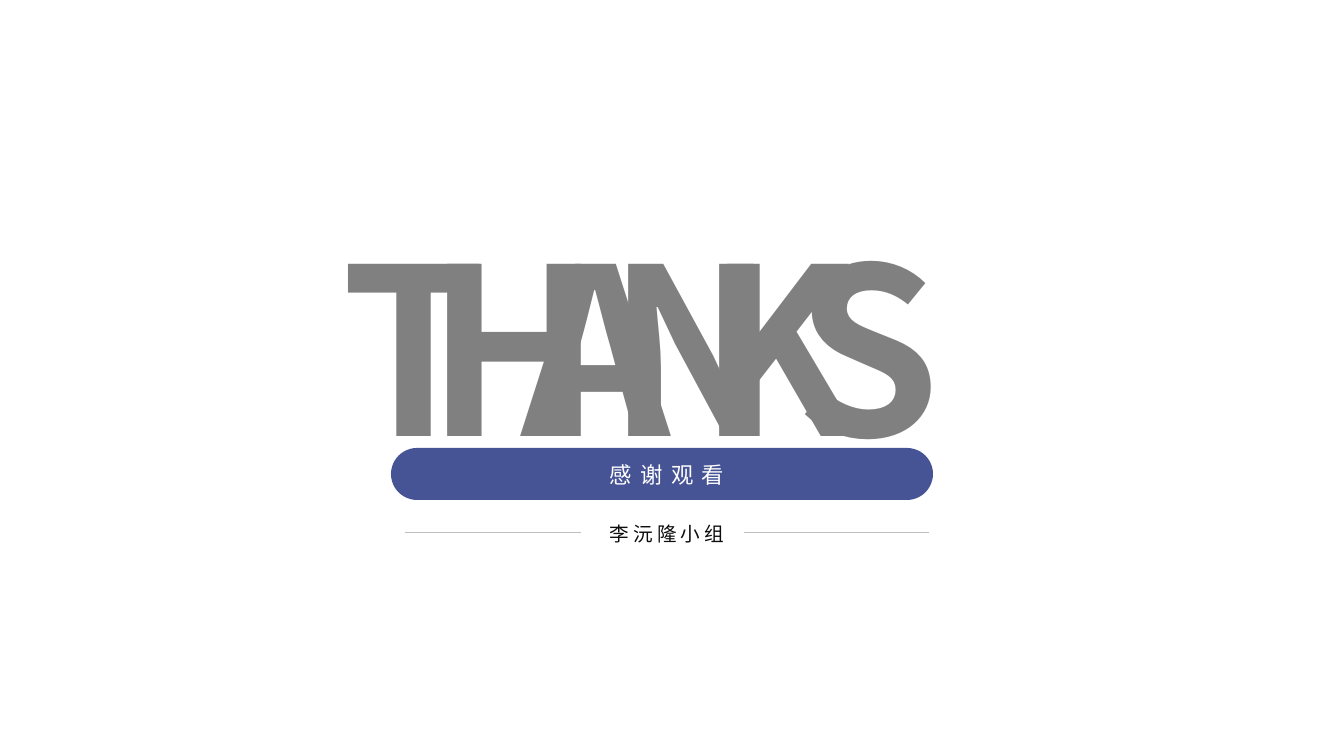
from lxml import etree
from pptx import Presentation
from pptx.dml.color import RGBColor
from pptx.enum.shapes import MSO_CONNECTOR, MSO_SHAPE
from pptx.enum.text import MSO_ANCHOR, MSO_AUTO_SIZE, PP_ALIGN
from pptx.oxml.ns import qn
from pptx.util import Emu, Pt

STRAIGHT = MSO_CONNECTOR.STRAIGHT
ROUNDED = MSO_SHAPE.ROUNDED_RECTANGLE
TOP, MIDDLE = MSO_ANCHOR.TOP, MSO_ANCHOR.MIDDLE
CENTER = PP_ALIGN.CENTER
NO_RESIZE = MSO_AUTO_SIZE.NONE

GRAY = RGBColor(0x80, 0x80, 0x80)
PALE_GRAY = RGBColor(0xBF, 0xBF, 0xBF)
BLUE = RGBColor(0x46, 0x54, 0x95)
WHITE = RGBColor(0xFF, 0xFF, 0xFF)
INK = RGBColor(0x0D, 0x0D, 0x0D)

DISPLAY_FONT = "Noto Sans CJK SC"
BODY_FONT = "Noto Sans CJK JP"
TITLE_ONLY_LAYOUT = 5


def px(length):
    return Emu(round(length * 914400 / 100.8))


def set_attributes(target, values):
    for name, value in values.items():
        setattr(target, name, value)


class SlideBuilder:
    def __init__(self, presentation):
        self.slide = presentation.slides.add_slide(
            presentation.slide_layouts[TITLE_ONLY_LAYOUT])
        self.shapes = self.slide.shapes

    def fill_text(self, shape, text, color, font, spacing=0, anchor=TOP, margins=None):
        frame = shape.text_frame
        set_attributes(frame, {"word_wrap": True, "auto_size": NO_RESIZE,
                               "vertical_anchor": anchor, **(margins or {})})
        paragraph = frame.paragraphs[0]
        paragraph.alignment = CENTER
        run = paragraph.add_run()
        run.text = text
        run.font.color.rgb = color
        set_attributes(run.font, font)
        properties = run.font._element
        etree.SubElement(properties, qn("a:ea")).set("typeface", font["name"])
        properties.set("spc", str(spacing * 100))

    def text(self, box, text, color, font, **layout):
        shape = self.shapes.add_textbox(*map(px, box))
        self.fill_text(shape, text, color, font, **layout)

    def title(self, box, text, color, font, **layout):
        shape = self.shapes.title
        set_attributes(shape, dict(zip(("left", "top", "width", "height"), map(px, box))))
        self.fill_text(shape, text, color, font, **layout)
        self.shapes._spTree.append(shape._element)

    def pill(self, box, color):
        shape = self.shapes.add_shape(ROUNDED, *map(px, box))
        shape.adjustments[0] = 0.5
        shape.shadow.inherit = False
        shape.fill.solid()
        shape.fill.fore_color.rgb = color
        shape.line.fill.background()

    def rule(self, left, right, y, color):
        line = self.shapes.add_connector(STRAIGHT, px(left), px(y), px(right), px(y))
        line.line.color.rgb = color
        line.line.width = Pt(0.75)
        etree.SubElement(line._element.spPr, qn("a:effectLst"))


def main():
    presentation = Presentation()
    presentation.slide_width, presentation.slide_height = px(1344), px(756)
    builder = SlideBuilder(presentation)

    letter_font = {"name": DISPLAY_FONT, "size": Pt(166), "bold": True}
    no_margins = {f"margin_{side}": 0 for side in ("left", "top", "right", "bottom")}
    for index, letter in enumerate("THANKS"):
        left = round(336 + 90.7 * index)
        builder.text((left, 204, 157, 291), letter, GRAY, letter_font, margins=no_margins)

    for left, right in ((405, 581), (744, 929)):
        builder.rule(left, right, 533, PALE_GRAY)
    builder.text((497, 513, 340, 41), "李沅隆小组", INK,
                 {"name": BODY_FONT, "size": Pt(14)}, spacing=3, anchor=MIDDLE)

    builder.pill((391, 448, 542, 52), BLUE)
    builder.title((417, 456, 500, 37), "感谢观看", WHITE,
                  {"name": BODY_FONT, "size": Pt(16)}, spacing=6)

    presentation.save("out.pptx")


if __name__ == "__main__":
    main()
